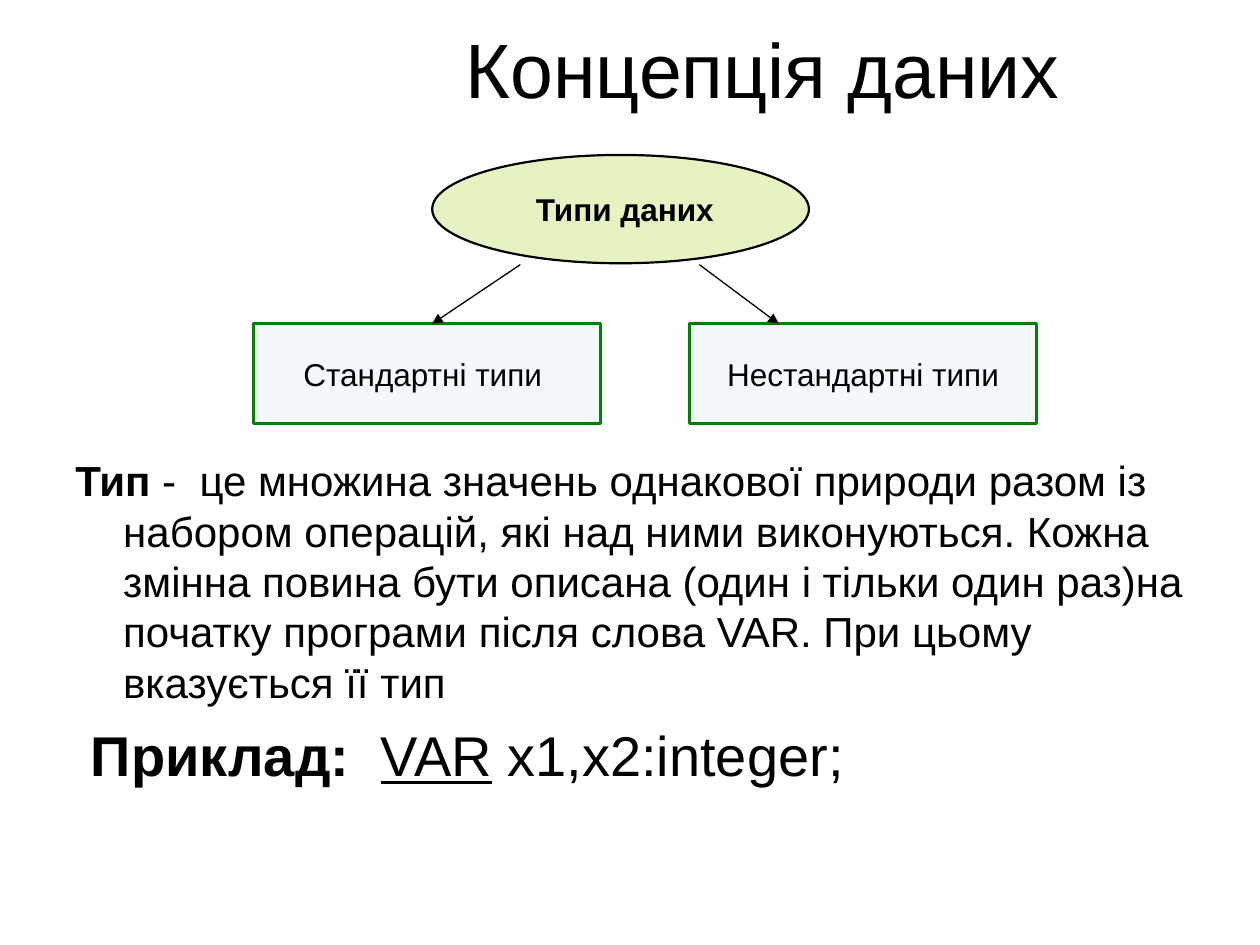
from dataclasses import dataclass

from lxml import etree
from pptx import Presentation
from pptx.dml.color import RGBColor
from pptx.enum.shapes import MSO_CONNECTOR, MSO_SHAPE
from pptx.enum.text import MSO_ANCHOR, PP_ALIGN
from pptx.oxml.ns import qn
from pptx.util import Inches, Pt

ELLIPSE = MSO_SHAPE.OVAL
RECT = MSO_SHAPE.RECTANGLE
STRAIGHT = MSO_CONNECTOR.STRAIGHT
CENTER = PP_ALIGN.CENTER
LEFT = PP_ALIGN.LEFT
MIDDLE = MSO_ANCHOR.MIDDLE

BLACK = RGBColor(0x00, 0x00, 0x00)
GREEN = RGBColor(0x00, 0x80, 0x00)
LIME = RGBColor(0x99, 0xCC, 0x00)
PALE_BLUE = RGBColor(0xBB, 0xE0, 0xE3)
FONT = "Arial"

BOX_TOP = 2.57
BOX_SIZE = (2.76, 0.79)
ARROW_TOP = 2.1


@dataclass
class Node:
    text: str
    kind: int
    left: float
    top: float
    width: float
    height: float
    fill: RGBColor
    opacity: int
    line: RGBColor
    line_width: float
    bold: bool = False


@dataclass
class Arrow:
    start_x: float
    end_x: float


NODES = [
    Node(" Типи даних", ELLIPSE, 3.43, 1.23, 2.99, 0.86, LIME, 24, BLACK, 1.25, True),
    *(
        Node(text, RECT, left, BOX_TOP, *BOX_SIZE, PALE_BLUE, 17, GREEN, 1.75)
        for text, left in (("Стандартні типи ", 2.01), ("Нестандартні типи", 5.47))
    ),
]
ARROWS = [Arrow(4.13, 3.43), Arrow(5.55, 6.18)]
DEFINITION = (
    " -  це множина значень однакової природи разом із набором операцій, "
    "які над ними виконуються. Кожна змінна повина бути описана "
    "(один і тільки один раз)на початку програми після слова VAR. "
    "При цьому вказується її тип"
)


def add_run(p, text: str, *, size: float, bold: bool = False, underline: bool = False) -> None:
    r = p.add_run()
    r.text = text
    r.font.name = FONT
    r.font.size = Pt(size)
    r.font.bold = bold
    r.font.underline = underline
    r.font.color.rgb = BLACK


def add_text_box(s, left: float, top: float, width: float, height: float):
    tf = s.shapes.add_textbox(Inches(left), Inches(top), Inches(width), Inches(height)).text_frame
    tf.word_wrap = True
    return tf


def add_node(s, node: Node) -> None:
    sp = s.shapes.add_shape(
        node.kind, Inches(node.left), Inches(node.top), Inches(node.width), Inches(node.height)
    )
    sp.shadow.inherit = False
    sp.fill.solid()
    sp.fill.fore_color.rgb = node.fill
    color = sp.fill._xPr.find(qn("a:solidFill"))[0]
    etree.SubElement(color, qn("a:alpha")).set("val", str(node.opacity * 1000))
    sp.line.color.rgb = node.line
    sp.line.width = Pt(node.line_width)
    tf = sp.text_frame
    tf.word_wrap = False
    tf.vertical_anchor = MIDDLE
    p = tf.paragraphs[0]
    p.alignment = CENTER
    add_run(p, node.text, size=18, bold=node.bold)


def add_arrow(s, arrow: Arrow) -> None:
    c = s.shapes.add_connector(
        STRAIGHT, Inches(arrow.start_x), Inches(ARROW_TOP), Inches(arrow.end_x), Inches(BOX_TOP)
    )
    c.line.color.rgb = BLACK
    c.line.width = Pt(0.75)
    etree.SubElement(c.line._get_or_add_ln(), qn("a:tailEnd")).set("type", "triangle")
    etree.SubElement(c._element.spPr, qn("a:effectLst"))


def add_hanging_paragraph(p) -> None:
    p.alignment = LEFT
    pPr = p._p.get_or_add_pPr()
    pPr.set("marL", str(Inches(0.38)))
    pPr.set("indent", str(Inches(-0.38)))


def main() -> None:
    prs = Presentation()
    prs.slide_width, prs.slide_height = Inches(10), Inches(7.5)
    s = prs.slides.add_slide(prs.slide_layouts[6])

    tf = add_text_box(s, 2.48, 0, 7.32, 1.07)
    tf.vertical_anchor = MIDDLE
    tf.paragraphs[0].alignment = CENTER
    add_run(tf.paragraphs[0], "Концепція даних ", size=44)

    tf = add_text_box(s, 0.5, 3.56, 9, 3.66)
    p = tf.paragraphs[0]
    add_hanging_paragraph(p)
    add_run(p, "Тип", size=24, bold=True)
    add_run(p, DEFINITION, size=24)
    p = tf.add_paragraph()
    add_hanging_paragraph(p)
    p.space_before = Pt(8)
    add_run(p, " Приклад:  ", size=32, bold=True)
    add_run(p, "VAR", size=32, underline=True)
    add_run(p, " x1,x2:integer;", size=32)

    for node in NODES:
        add_node(s, node)
    for arrow in ARROWS:
        add_arrow(s, arrow)

    prs.save("out.pptx")


if __name__ == "__main__":
    main()
